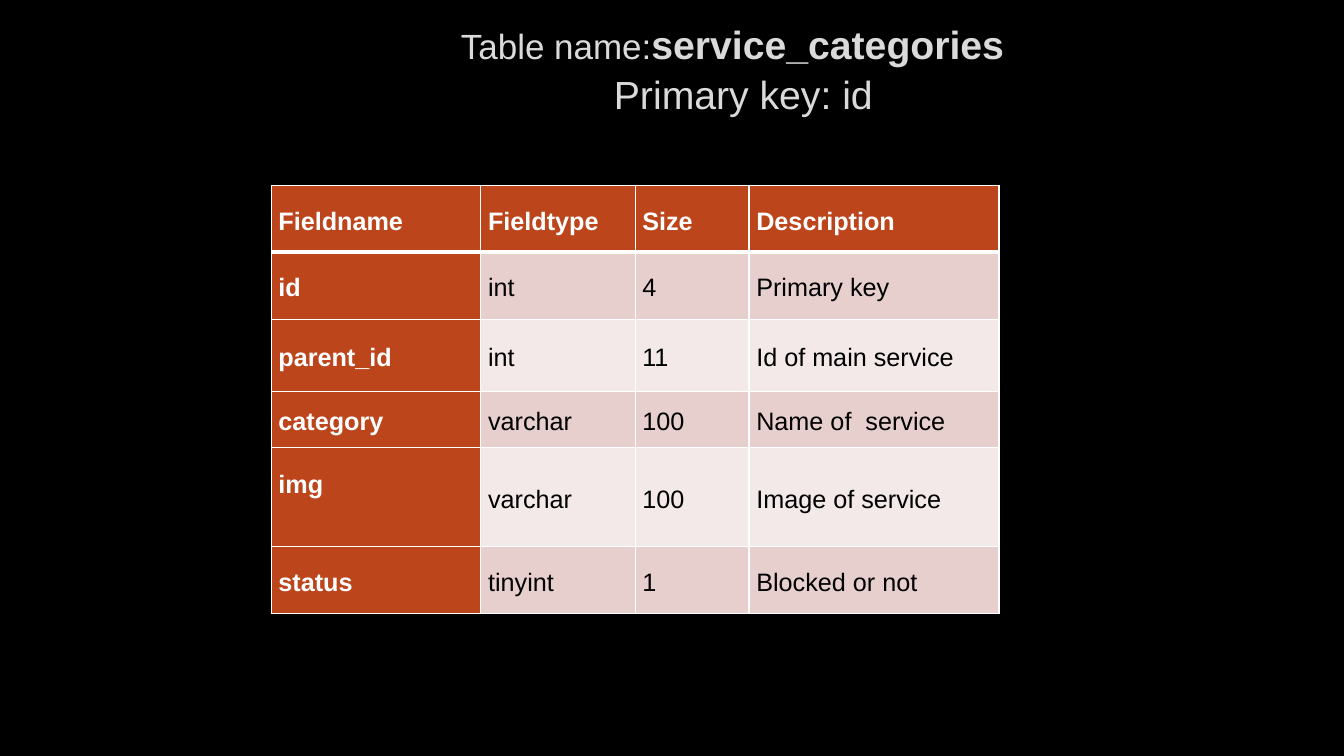
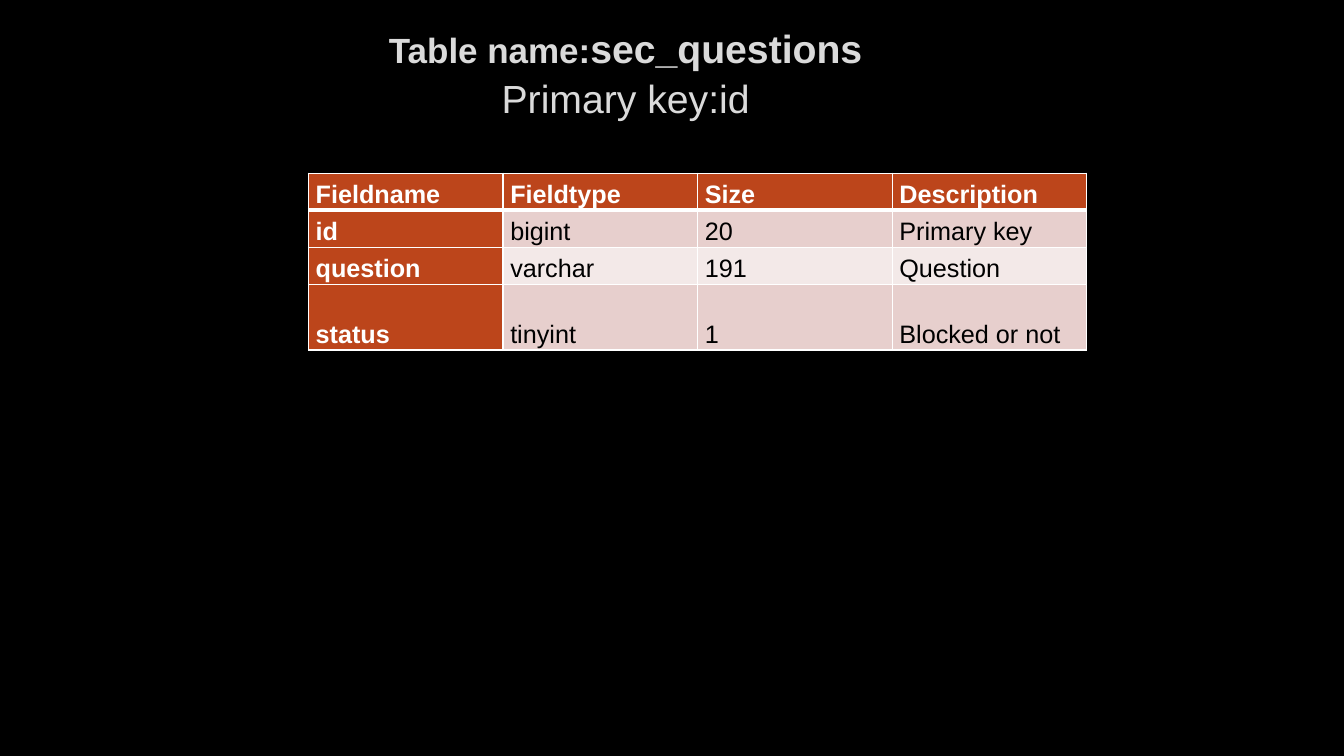
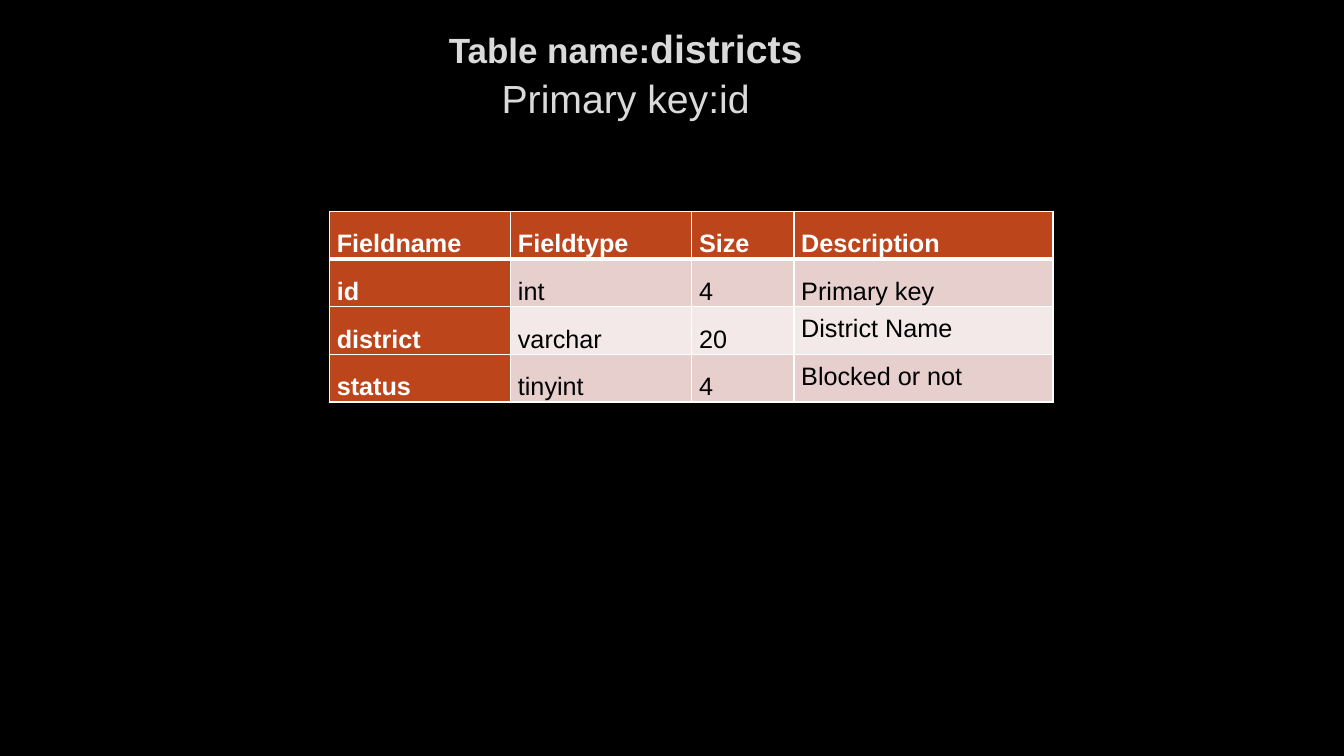
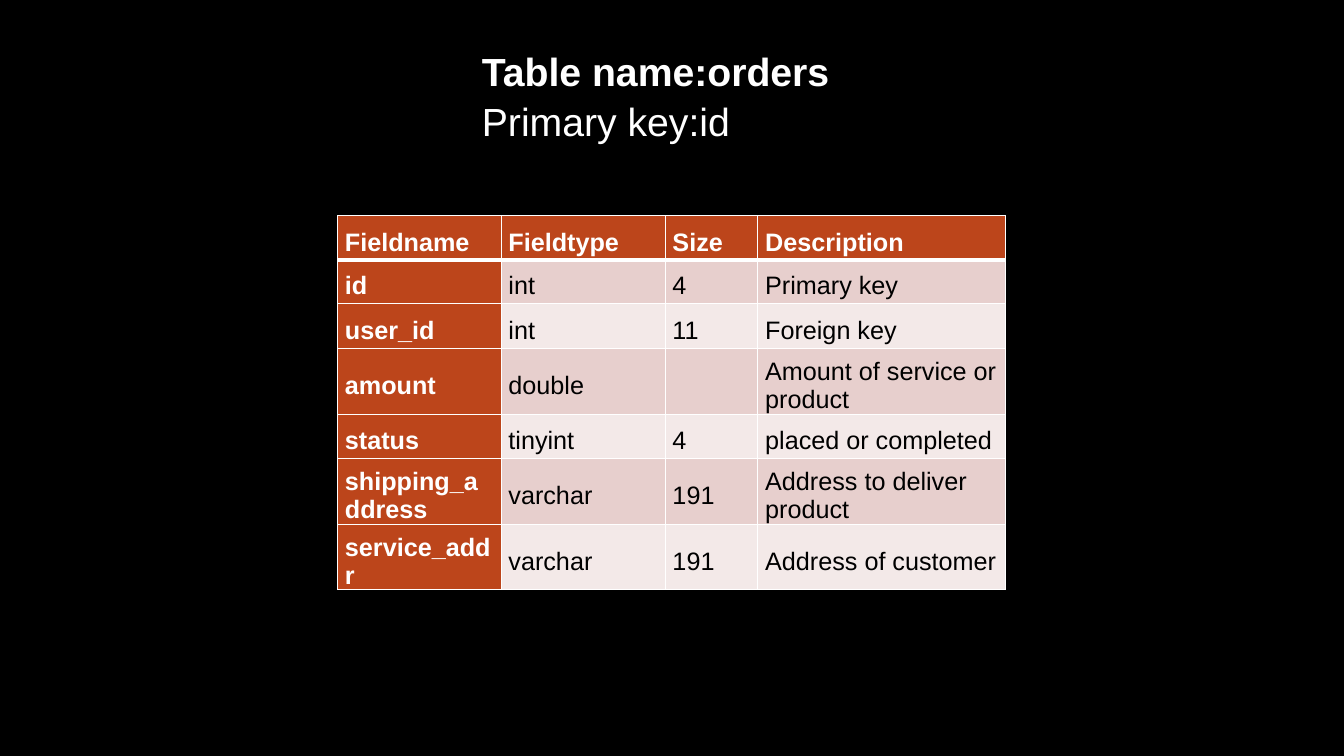
from lxml import etree
from pptx import Presentation
from pptx.dml.color import RGBColor
from pptx.enum import text
from pptx.oxml import ns
from pptx.util import Pt

BLACK = RGBColor(0x00, 0x00, 0x00)
WHITE = RGBColor(0xFF, 0xFF, 0xFF)
SILVER = RGBColor(0xDA, 0xDA, 0xDA)
RUST = RGBColor(0xBC, 0x45, 0x1B)
BANDS = (RGBColor(0xE7, 0xCF, 0xCD), RGBColor(0xF3, 0xE9, 0xE8))

TOP = text.MSO_ANCHOR.TOP
MIDDLE = text.MSO_ANCHOR.MIDDLE
BOTTOM = text.MSO_ANCHOR.BOTTOM
LEFT = text.PP_ALIGN.LEFT
CENTER = text.PP_ALIGN.CENTER

HEADINGS = ("Fieldname", "Fieldtype", "Size", "Description")


class SchemaDeck:
    font = "Arial"
    cell_size = 18
    key_size = 28
    thin, thick = 1, 3

    def __init__(self):
        self.deck = Presentation()
        self.deck.slide_width, self.deck.slide_height = Pt(960), Pt(540)
        background = self.deck.slide_master.background.fill
        background.solid()
        background.fore_color.rgb = BLACK
        self.slide = None

    def add_slide(self):
        self.slide = self.deck.slides.add_slide(self.deck.slide_layouts[5])

    def style_run(self, run, size, color, bold):
        run.font.name = self.font
        run.font.size = Pt(size)
        run.font.color.rgb = color
        run.font.bold = bold

    def title(self, box, name_runs, key, color=SILVER, align=CENTER,
              anchor=MIDDLE, right_margin=30.6, key_indent=0):
        title = self.slide.shapes.title
        title.left, title.top, title.width, title.height = map(Pt, box)
        frame = title.text_frame
        frame.word_wrap = True
        frame.auto_size = text.MSO_AUTO_SIZE.NONE
        frame.vertical_anchor = anchor
        frame.margin_left, frame.margin_right = Pt(7.2), Pt(right_margin)
        frame.margin_top = frame.margin_bottom = Pt(3.6)
        name_line, key_line = frame.paragraphs[0], frame.add_paragraph()
        for words, size, bold in name_runs:
            run = name_line.add_run()
            run.text = words
            self.style_run(run, size, color, bold)
        key_line.text = key
        self.style_run(key_line.runs[0], self.key_size, color, False)
        if key_indent:
            key_line._p.get_or_add_pPr().set("marL", str(Pt(key_indent)))
        for line in (name_line, key_line):
            line.alignment = align
            line.line_spacing = 1.05

    def borders(self, cell, row):
        properties = cell._tc.get_or_add_tcPr()
        top = self.thick if row == 1 else self.thin
        bottom = self.thick if row == 0 else self.thin
        widths = {"L": self.thin, "R": self.thin, "T": top, "B": bottom}
        for side, width in widths.items():
            line = etree.SubElement(properties, ns.qn(f"a:ln{side}"), w=str(Pt(width)))
            fill = etree.SubElement(line, ns.qn("a:solidFill"))
            etree.SubElement(fill, ns.qn("a:srgbClr"), val=str(WHITE))

    def cell(self, cell, words, row, column, anchor, margins):
        strong = row == 0 or column == 0
        self.borders(cell, row)
        cell.fill.solid()
        cell.fill.fore_color.rgb = RUST if strong else BANDS[(row - 1) % 2]
        cell.vertical_anchor = anchor
        cell.margin_left = Pt(5.2)
        cell.margin_top, cell.margin_right, cell.margin_bottom = map(Pt, margins)
        cell.text_frame.text = words
        for run in cell.text_frame.paragraphs[0].runs:
            self.style_run(run, self.cell_size, WHITE if strong else BLACK, strong)

    def fields(self, left, top, widths, heights, fields, margins, anchor=MIDDLE):
        rows = (HEADINGS, *fields)
        table = self.slide.shapes.add_table(
            len(rows), len(widths), Pt(left), Pt(top),
            Pt(sum(widths)), Pt(sum(heights))).table
        for column, width in zip(table.columns, widths):
            column.width = Pt(width)
        for row, height in zip(table.rows, heights):
            row.height = Pt(height)
        for r, values in enumerate(rows):
            for c, words in enumerate(values):
                self.cell(table.cell(r, c), words, r, c, anchor, margins)
        return table

    def save(self):
        self.deck.save("out.pptx")


def service_categories(deck):
    deck.add_slide()
    deck.title((127.4, 10.1, 815, 76.3),
               [("Table name:", 25, False), ("service_categories", 28, True)],
               "Primary key: id", key_indent=15.6)
    table = deck.fields(
        193.7, 132.5, (149.8, 110.2, 81.4, 178.6),
        (47.5, 48.2, 51.5, 40.3, 70.2, 48.2),
        [("id", "int", "4", "Primary key"),
         ("parent_id", "int", "11", "Id of main service"),
         ("category", "varchar", "100", "Name of  service"),
         ("img", "varchar", "100", "Image of service"),
         ("status", "tinyint", "1", "Blocked or not")],
        margins=(4.3, 3.6, 0.7))
    table.cell(4, 0).margin_bottom = Pt(21.4)


def sec_questions(deck):
    deck.add_slide()
    deck.title((51.1, 13, 815, 76.3),
               [("Table name:", 25, True), ("sec_questions", 28, True)],
               "Primary key:id")
    deck.fields(
        220.3, 123.8, (139,) * 4, (26.4, 26.4, 26.4, 47),
        [("id", "bigint", "20", "Primary key"),
         ("question", "varchar", "191", "Question"),
         ("status", "tinyint", "1", "Blocked or not")],
        margins=(5, 2.9, 0.7), anchor=BOTTOM)


def districts(deck):
    deck.add_slide()
    deck.title((51.1, 13, 815, 76.3),
               [("Table name:", 25, True), ("districts", 28, True)],
               "Primary key:id")
    table = deck.fields(
        235.4, 151.2, (129.4, 129.4, 73, 185), (34,) * 4,
        [("id", "int", "4", "Primary key"),
         ("district", "varchar", "20", "District Name"),
         ("status", "tinyint", "4", "Blocked or not")],
        margins=(5.8, 5.8, 0.7), anchor=BOTTOM)
    for row in (2, 3):
        table.cell(row, 3).vertical_anchor = TOP


def orders(deck):
    deck.add_slide()
    deck.title((337, 28.8, 558, 74.9), [("Table name:orders", 28, True)],
               "Primary key:id", color=WHITE, align=LEFT, anchor=TOP,
               right_margin=7.2)
    deck.fields(
        241.2, 154, (116.8, 117.2, 66.2, 177),
        (31.7, 31, 32.4, 46.8, 31.7, 46.8, 46.8),
        [("id", "int", "4", "Primary key"),
         ("user_id", "int", "11", "Foreign key"),
         ("amount", "double", "", "Amount of service or product"),
         ("status", "tinyint", "4", "placed or completed"),
         ("shipping_address", "varchar", "191", "Address to deliver product"),
         ("service_addr", "varchar", "191", "Address of customer")],
        margins=(6.5, 5.8, 0))


def main():
    deck = SchemaDeck()
    for build in (service_categories, sec_questions, districts, orders):
        build(deck)
    deck.save()


if __name__ == "__main__":
    main()
